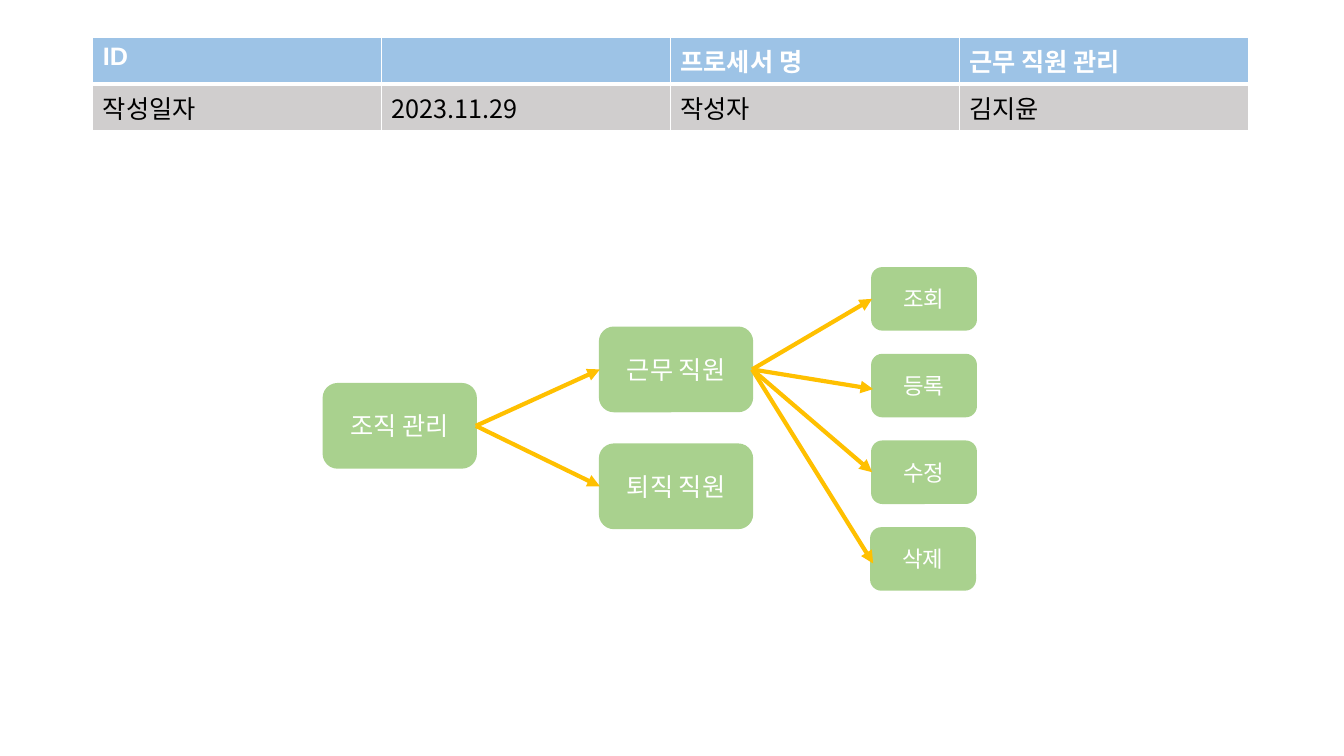
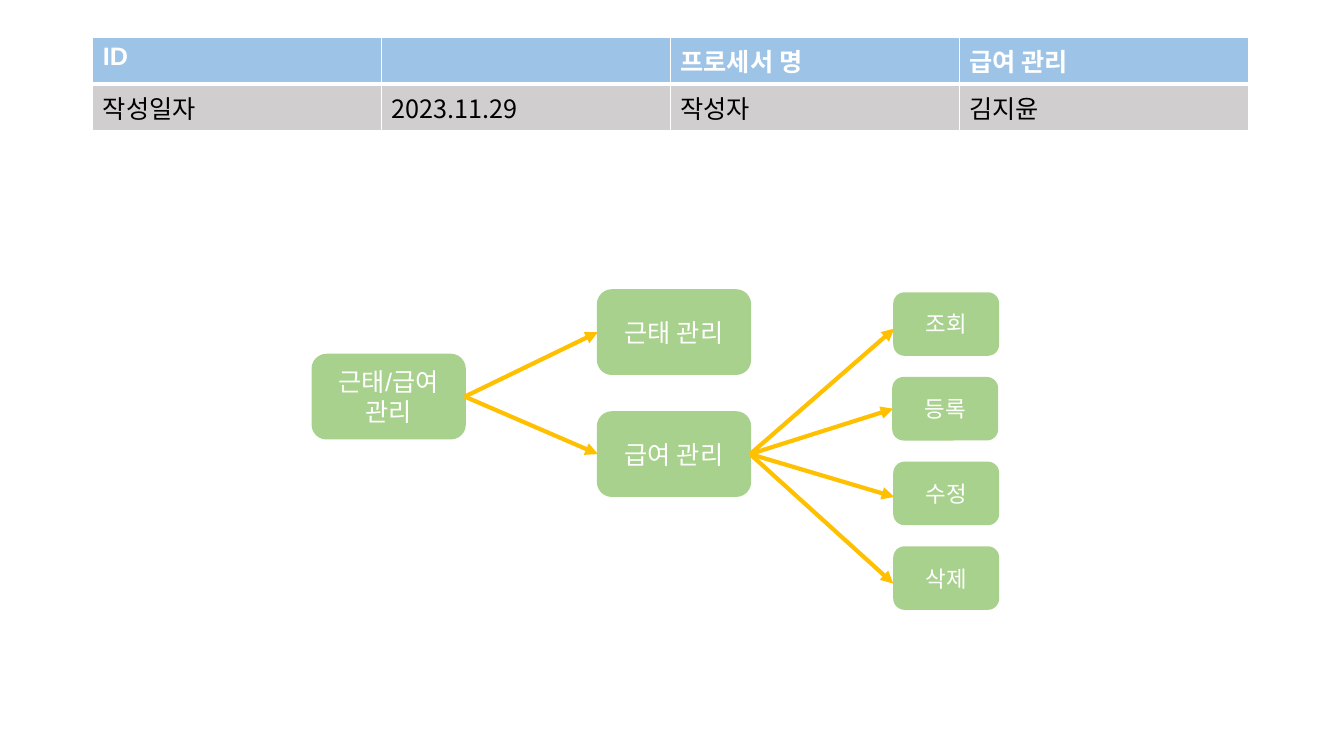
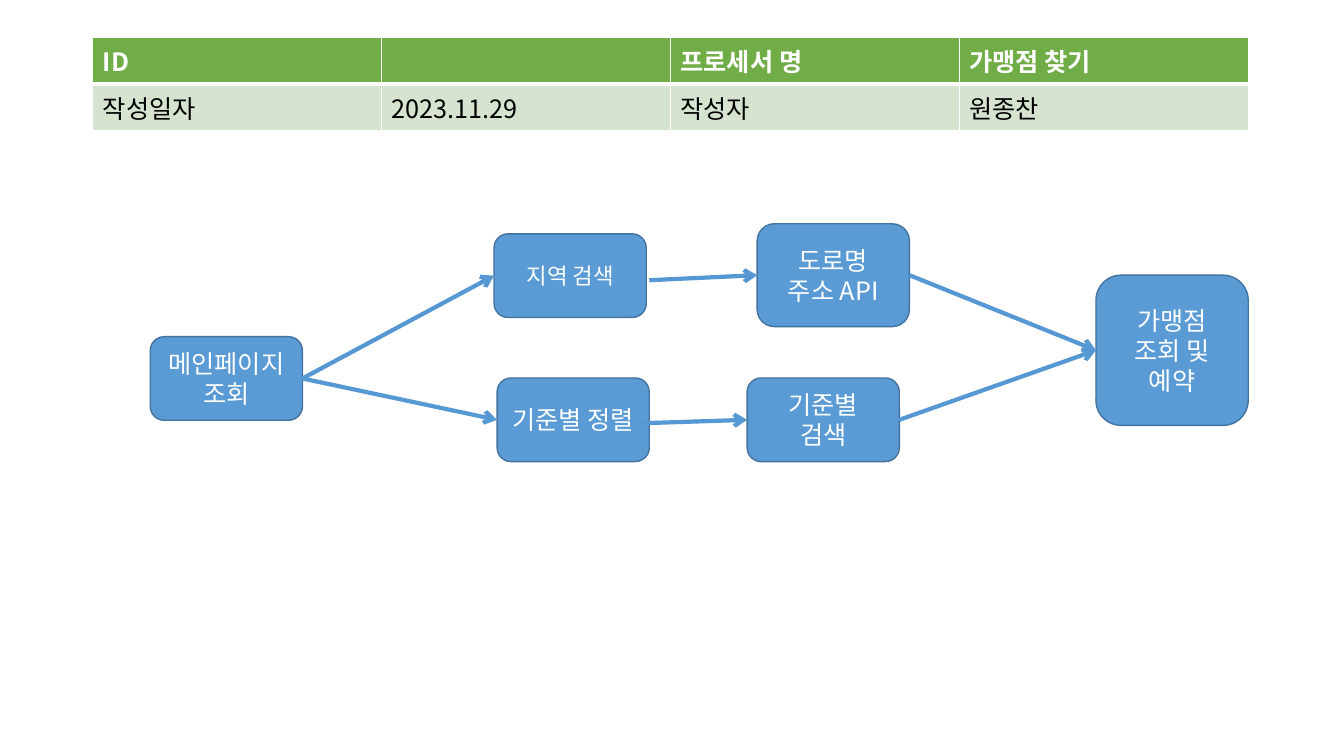
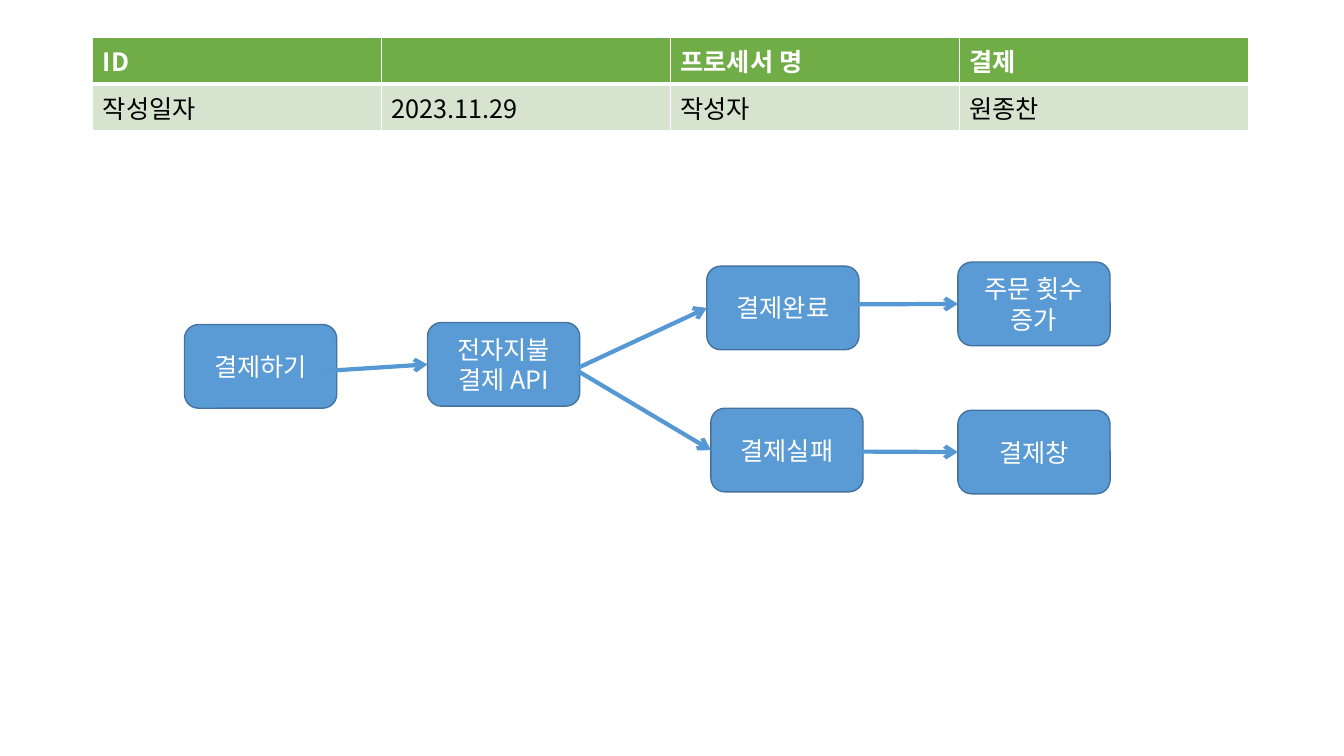
import dataclasses

import pptx
import pptx.dml.color
import pptx.enum.shapes
import pptx.enum.text
import pptx.oxml
import pptx.oxml.ns
import pptx.util

PX = 9144  # EMU in one px, 100 px to the inch
KOREAN_FONT = "Noto Sans CJK KR"
WHITE, BLACK = "FFFFFF", "000000"
LEFT, RIGHT = 1, 3
BOX = (151, 83)
SMALL_BOX = (103, 61)


@dataclasses.dataclass
class Style:
    font: str
    header_fill: str
    body_fill: str
    box_fill: str
    box_line: str
    box_line_width: float
    arrow_color: str
    arrow_head: str


STAFF = Style("Arial", "9DC3E6", "D0CECE", "A9D18E", "A9D18E", 1.5, "FFC000", "triangle")
SHOP = Style(KOREAN_FONT, "70AD47", "D5E3CF", "5B9BD5", "43739E", 1, "5698D3", "arrow")


def px(*lengths):
    return [pptx.util.Emu(length * PX) for length in lengths]


def rgb(color):
    return pptx.dml.color.RGBColor.from_string(color)


def fill_with(target, color):
    target.fill.solid()
    target.fill.fore_color.rgb = rgb(color)


def add_xml(parent, tag, index=None, **attributes):
    element = pptx.oxml.parse_xml(f"<a:{tag} {pptx.oxml.ns.nsdecls('a')}/>")
    for name, value in attributes.items():
        element.set(name, str(value))
    parent.insert(len(parent) if index is None else index, element)
    return element


class ProcessDeck:
    def __init__(self):
        self.presentation = pptx.Presentation()
        self.presentation.slide_width, self.presentation.slide_height = px(1333, 750)

    def start_slide(self, style, process, author):
        self.style = style
        layout = self.presentation.slide_layouts[6]
        self.slide = self.presentation.slides.add_slide(layout)
        self.info_table([
            ["ID", "", "프로세서 명", process],
            ["작성일자", "2023.11.29", "작성자", author],
        ])

    def format_text(self, text_frame, size, color, bold=False, font=None):
        for paragraph in text_frame.paragraphs:
            for run in paragraph.runs:
                run.font.size = pptx.util.Pt(size)
                run.font.bold = bold
                run.font.color.rgb = rgb(color)
                run.font.name = font or self.style.font
                add_xml(run.font._element, "ea", typeface=KOREAN_FONT)

    def border_cell(self, cell, widths):
        """Draw white borders; widths are points for left, right, top, bottom."""
        properties = cell._tc.get_or_add_tcPr()
        for index, (side, width) in enumerate(zip("LRTB", widths)):
            line = add_xml(properties, f"ln{side}", index, w=pptx.util.Pt(width))
            add_xml(add_xml(line, "solidFill"), "srgbClr", val=WHITE)

    def info_table(self, rows):
        frame = self.slide.shapes.add_table(2, 4, *px(92, 37, 1146, 84))
        table = frame.table
        table.first_row = table.horz_banding = False
        for row, height in zip(table.rows, px(43, 41)):
            row.height = height
        looks = [
            (self.style.header_fill, WHITE, True, (1, 1, 1, 3)),
            (self.style.body_fill, BLACK, False, (1, 1, 3, 1)),
        ]
        for row, texts, (fill, color, bold, widths) in zip(table.rows, rows, looks):
            for cell, text in zip(row.cells, texts):
                cell.text_frame.text = text
                font = KOREAN_FONT if text[:1].isdigit() else None
                self.format_text(cell.text_frame, 18, color, bold, font)
                fill_with(cell, fill)
                self.border_cell(cell, widths)

    def box(self, text, left, top, size=BOX, font_size=18):
        shape = self.slide.shapes.add_shape(
            pptx.enum.shapes.MSO_SHAPE.ROUNDED_RECTANGLE, *px(left, top, *size))
        shape.shadow.inherit = False
        fill_with(shape, self.style.box_fill)
        shape.line.color.rgb = rgb(self.style.box_line)
        shape.line.width = pptx.util.Pt(self.style.box_line_width)
        text_frame = shape.text_frame
        text_frame.word_wrap = True
        text_frame.vertical_anchor = pptx.enum.text.MSO_ANCHOR.MIDDLE
        text_frame.text = text
        for paragraph in text_frame.paragraphs:
            paragraph.alignment = pptx.enum.text.PP_ALIGN.CENTER
        self.format_text(text_frame, font_size, WHITE)
        return shape

    def action_boxes(self, lefts, top, pitch):
        return [
            self.box(text, left, top + pitch * index, SMALL_BOX, 16)
            for index, (text, left) in enumerate(zip(["조회", "등록", "수정", "삭제"], lefts))
        ]

    def arrow(self, source, target, start=None, end=None):
        """Join two boxes side to side; start or end is a free point instead."""
        connector = self.slide.shapes.add_connector(
            pptx.enum.shapes.MSO_CONNECTOR.STRAIGHT,
            *px(*(start or (0, 0)), *(end or (0, 0))))
        if not start:
            connector.begin_connect(source, RIGHT)
        if not end:
            connector.end_connect(target, LEFT)
        connector.line.color.rgb = rgb(self.style.arrow_color)
        connector.line.width = pptx.util.Pt(3)
        add_xml(connector.line._get_or_add_ln(), "tailEnd", type=self.style.arrow_head)
        add_xml(connector._element.spPr, "effectLst")

    def arrows(self, source, targets, ends):
        for target, end in zip(targets, ends):
            self.arrow(source, target, end=end)


def staff_slide(deck):
    deck.start_slide(STAFF, "근무 직원 관리", "김지윤")
    organization = deck.box("조직 관리", 321, 381)
    current = deck.box("근무 직원", 595, 325)
    retired = deck.box("퇴직 직원", 595, 441)
    actions = deck.action_boxes([865, 865, 865, 864], 266, 86)
    deck.arrows(organization, [current, retired], [None, None])
    deck.arrows(current, actions, [None, (866, 386), None, (866, 559)])


def payroll_slide(deck):
    deck.start_slide(STAFF, "급여 관리", "김지윤")
    management = deck.box("근태/급여 관리", 310, 352)
    attendance = deck.box("근태 관리", 593, 288)
    payroll = deck.box("급여 관리", 593, 409)
    actions = deck.action_boxes([887, 886, 887, 887], 291, 84)
    deck.arrows(management, [attendance, payroll], [None, None])
    deck.arrows(payroll, actions, [(887, 326), None, (887, 493), (886, 579)])


def store_slide(deck):
    deck.start_slide(SHOP, "가맹점 찾기", "원종찬")
    main_page = deck.box("메인페이지 조회", 149, 334)
    region = deck.box("지역 검색", 490, 232, font_size=16)
    sorting = deck.box("기준별 정렬", 493, 375)
    address = deck.box("도로명\n주소 API", 751, 222, (151, 102))
    criteria = deck.box("기준별\n검색", 741, 375)
    booking = deck.box("가맹점\n조회 및 예약", 1087, 273, (151, 149))
    deck.arrows(main_page, [region, sorting], [None, None])
    deck.arrow(region, address, start=(644, 278))
    deck.arrow(sorting, criteria, start=(634, 420))
    deck.arrow(address, booking)
    deck.arrow(criteria, booking)


def payment_slide(deck):
    deck.start_slide(SHOP, "결제", "원종찬")
    pay = deck.box("결제하기", 183, 322)
    payment_api = deck.box("전자지불\n결제 API", 424, 320)
    success = deck.box("결제완료", 701, 264)
    failure = deck.box("결제실패", 705, 405)
    order_count = deck.box("주문 횟수\n증가", 950, 260)
    payment_window = deck.box("결제창", 950, 407)
    deck.arrow(pay, payment_api, start=(323, 368))
    deck.arrow(payment_api, success, start=(571, 366))
    deck.arrow(payment_api, failure, start=(573, 368))
    deck.arrow(success, order_count, start=(845, 302))
    deck.arrow(failure, payment_window, start=(851, 448))


def main():
    deck = ProcessDeck()
    for build in (staff_slide, payroll_slide, store_slide, payment_slide):
        build(deck)
    deck.presentation.save("out.pptx")


if __name__ == "__main__":
    main()
